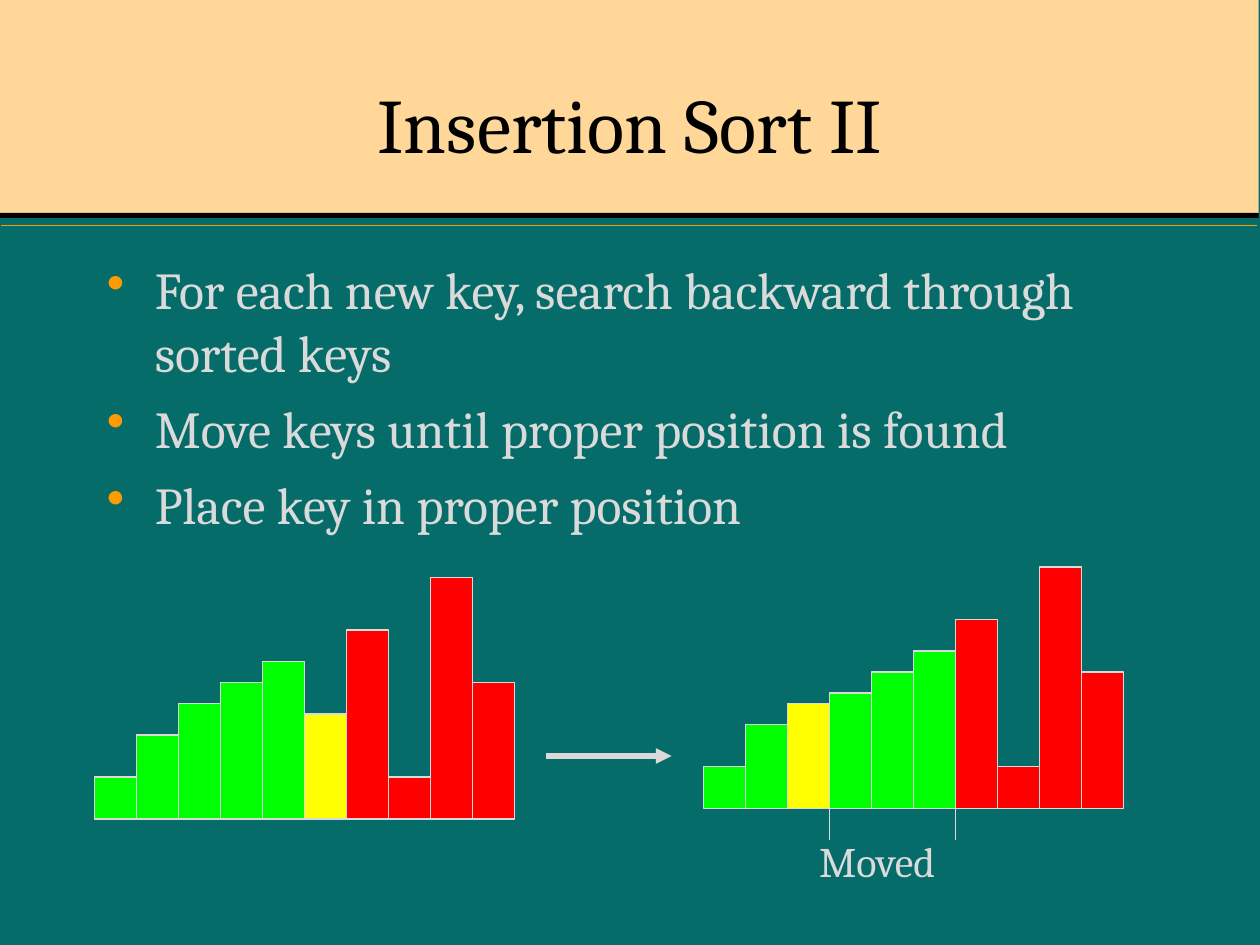
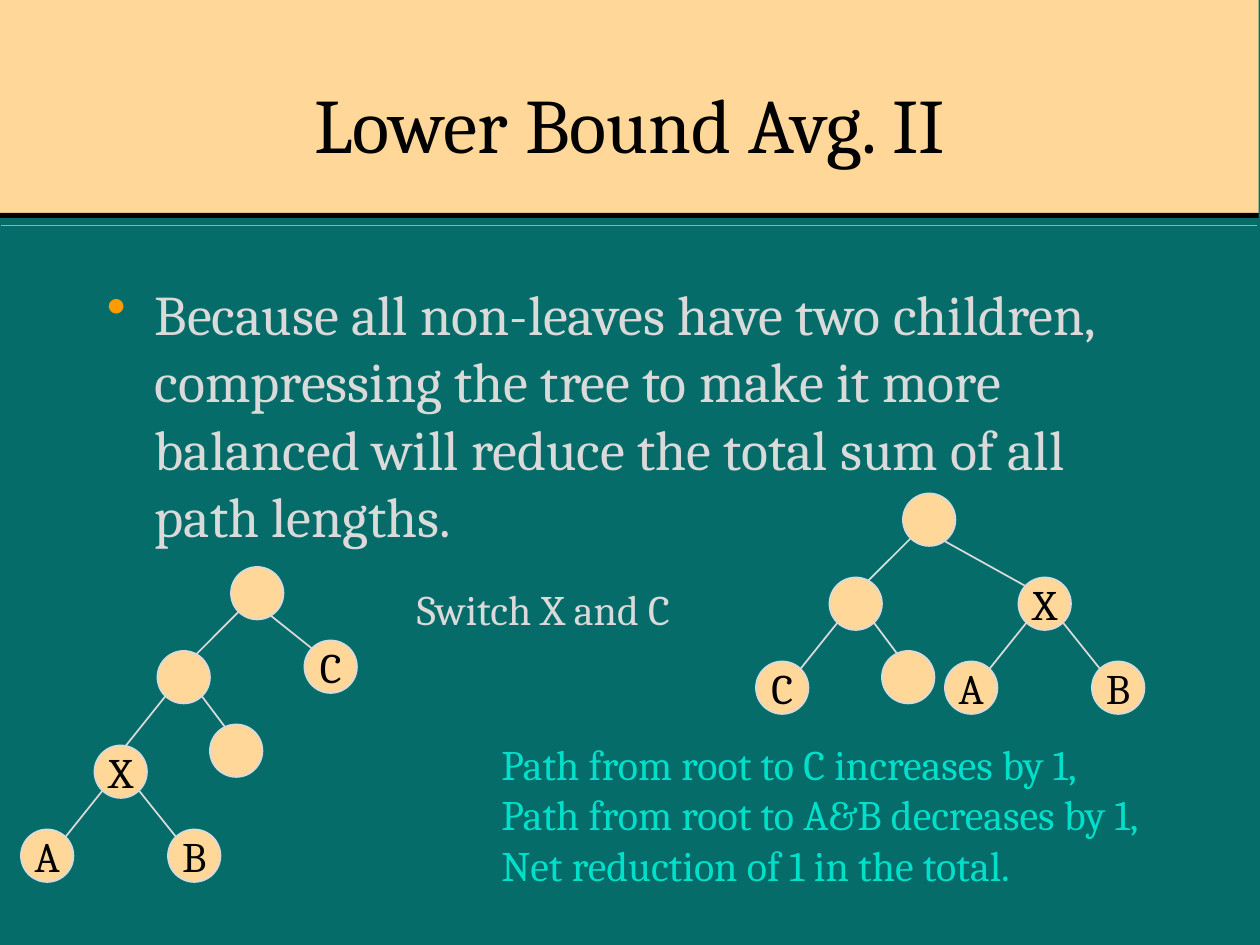
from dataclasses import dataclass

from lxml import etree
from pptx import Presentation
from pptx.dml.color import RGBColor
from pptx.enum import shapes, text
from pptx.oxml import ns
from pptx.util import Inches, Pt


@dataclass(frozen=True)
class Theme:
    """Colours, type sizes and the drawing grid shared by the slides."""
    board: str = "056C69"
    sand: str = "FFD798"
    ink: str = "000000"
    accent: str = "FE9B03"
    chalk: str = "DADADA"
    remark: str = "00DFCA"
    sorted_key: str = "00FF00"
    current_key: str = "FFFF00"
    unsorted_key: str = "FF0000"
    font: str = "Cambria"
    title_size: float = 44
    body_size: float = 32
    label_size: float = 24
    cell: float = 1 / 12


THEME = Theme()
BAR_WIDTH = 4
NODE_SIZE = 5


def rgb(colour):
    """Turn a hex string into a colour."""
    return RGBColor.from_string(colour)


def grid(*cells):
    """Turn grid cells into inches."""
    return [cell * THEME.cell for cell in cells]


def add_bullet(paragraph, indent=0.38):
    """Give a paragraph a hanging accent-coloured bullet."""
    properties = paragraph._p.get_or_add_pPr()
    properties.set("marL", str(Inches(indent)))
    properties.set("indent", str(-Inches(indent)))
    colour = etree.SubElement(properties, ns.qn("a:buClr"))
    etree.SubElement(colour, ns.qn("a:srgbClr"), val=THEME.accent)
    etree.SubElement(properties, ns.qn("a:buChar"), char="•")


def write(frame, lines, *, size=THEME.label_size, colour=THEME.chalk,
          align=text.PP_ALIGN.LEFT, anchor=text.MSO_ANCHOR.TOP,
          bullets=False, gap=0, wrap=True):
    """Write one paragraph per line into a text frame."""
    frame.word_wrap = wrap
    frame.vertical_anchor = anchor
    for index, line in enumerate(lines):
        paragraph = frame.add_paragraph() if index else frame.paragraphs[0]
        if bullets:
            add_bullet(paragraph)
        paragraph.alignment = align
        if index:
            paragraph.space_before = Pt(gap)
        run = paragraph.add_run()
        run.text = line
        run.font.name = THEME.font
        run.font.size = Pt(size)
        run.font.color.rgb = rgb(colour)


def add_words(slide, box, lines, **style):
    """Add a text box with formatted lines."""
    words = slide.shapes.add_textbox(*map(Inches, box))
    write(words.text_frame, lines, **style)


def add_block(slide, kind, box, fill, outline=None):
    """Add a flat filled shape with an optional thin outline."""
    block = slide.shapes.add_shape(kind, *map(Inches, box))
    block.shadow.inherit = False
    block.fill.solid()
    block.fill.fore_color.rgb = rgb(fill)
    if outline:
        block.line.color.rgb = rgb(outline)
        block.line.width = Pt(1)
    else:
        block.line.fill.background()
    return block


def add_line(slide, start, end, colour=THEME.chalk, width=1, arrow=False):
    """Add a straight line, optionally with an arrowhead at its end."""
    line = slide.shapes.add_connector(
        shapes.MSO_CONNECTOR.STRAIGHT, *map(Inches, (*start, *end)))
    line.line.color.rgb = rgb(colour)
    line.line.width = Pt(width)
    if arrow:
        etree.SubElement(line.line._get_or_add_ln(), ns.qn("a:tailEnd"), type="triangle")
    etree.SubElement(line._element.spPr, ns.qn("a:effectLst"))


def add_titled_slide(deck, title):
    """Add a slide with the shared background, title band and rules."""
    slide = deck.slides.add_slide(deck.slide_layouts[6])
    slide.background.fill.solid()
    slide.background.fill.fore_color.rgb = rgb(THEME.board)
    for top, height, fill in ((0, 1.69, THEME.sand), (1.69, 0.04, THEME.ink)):
        add_block(slide, shapes.MSO_SHAPE.RECTANGLE, (0, top, 9.99, height), fill)
    add_line(slide, (0.01, 1.79), (9.98, 1.79), THEME.accent)
    add_words(slide, (0.75, 0.37, 8.5, 1.21), [title], size=THEME.title_size,
              colour=THEME.ink, align=text.PP_ALIGN.CENTER,
              anchor=text.MSO_ANCHOR.MIDDLE)
    return slide


def add_keys(slide, left, baseline, heights, current, sorted_count):
    """Draw keys as touching bars standing on a baseline, in grid cells."""
    for index, height in enumerate(heights):
        if index == current:
            fill = THEME.current_key
        else:
            fill = THEME.sorted_key if index < sorted_count else THEME.unsorted_key
        box = grid(left + index * BAR_WIDTH, baseline - height, BAR_WIDTH, height)
        add_block(slide, shapes.MSO_SHAPE.RECTANGLE, box, fill, THEME.chalk)


def add_moved_range(slide, left, top, count):
    """Mark the moved keys with two ticks and a label, in grid cells."""
    for x in (left, left + count * BAR_WIDTH):
        add_line(slide, grid(x, top), grid(x, top + 3))
    x, y = grid(left, top + 2)
    add_words(slide, (x - 0.18, y, 1.28, 0.5), ["Moved"])


def add_tree(slide, left, top, nodes, edges):
    """Draw a binary tree from node corners and edge ends, in grid cells."""
    for x1, y1, x2, y2 in edges:
        add_line(slide, grid(left + x1, top + y1), grid(left + x2, top + y2))
    for x, y, name in nodes:
        box = grid(left + x, top + y, NODE_SIZE, NODE_SIZE)
        node = add_block(slide, shapes.MSO_SHAPE.OVAL, box, THEME.sand, THEME.chalk)
        if name:
            write(node.text_frame, [name], colour=THEME.ink, wrap=False,
                  align=text.PP_ALIGN.CENTER, anchor=text.MSO_ANCHOR.MIDDLE)


def insertion_sort_slide(deck):
    """Show how one key is moved into the sorted part."""
    slide = add_titled_slide(deck, "Insertion Sort II")
    add_words(slide, (0.75, 2, 8.75, 2.58), [
        "For each new key, search backward through sorted keys",
        "Move keys until proper position is found",
        "Place key in proper position",
    ], size=29.6, bullets=True, gap=8)
    before = [4, 8, 11, 13, 15, 10, 18, 4, 23, 13]
    count, place = 6, 2
    after = sorted(before[:count]) + before[count:]
    left, baseline = 67, 77
    add_keys(slide, 9, 78, before, count - 1, count)
    add_keys(slide, left, baseline, after, place, count)
    add_line(slide, (4.33, 6), (5.33, 6), width=3, arrow=True)
    add_moved_range(slide, left + (place + 1) * BAR_WIDTH, baseline, count - place - 1)


def lower_bound_slide(deck):
    """Compare a tree before and after it is balanced."""
    slide = add_titled_slide(deck, "Lower Bound Avg. II")
    add_words(slide, (0.75, 2.17, 8.5, 2.33), [
        "Because all non-leaves have two children, compressing the tree to make "
        "it more balanced will reduce the total sum of all path lengths.",
    ], size=THEME.body_size, bullets=True)
    add_tree(slide, 2, 54,
             nodes=[(20, 0, ""), (27, 7, "C"), (13, 8, ""), (7, 17, "X"),
                    (0, 25, "A"), (14, 25, "B"), (18, 15, "")],
             edges=[(21, 4, 16, 9), (23, 4, 28, 8), (14, 12, 10, 17),
                    (17, 12, 20, 16), (8, 21, 4, 26), (11, 21, 15, 26)])
    add_words(slide, (3.21, 4.58, 2.56, 0.5), ["Switch X and C"])
    add_tree(slide, 72, 47,
             nodes=[(14, 0, ""), (0, 16, "C"), (7, 8, ""), (25, 8, "X"),
                    (18, 16, "A"), (32, 16, "B"), (12, 15, "")],
             edges=[(15, 4, 10, 9), (17, 4, 26, 9), (8, 12, 4, 17),
                    (11, 12, 14, 16), (26, 12, 22, 17), (29, 12, 33, 17)])
    add_words(slide, (3.88, 5.81, 6.19, 1.3), [
        "Path from root to C increases by 1,",
        "Path from root to A&B decreases by 1,",
        "Net reduction of 1 in the total.",
    ], colour=THEME.remark)


def main():
    """Build and save the slides."""
    deck = Presentation()
    deck.slide_width, deck.slide_height = Inches(10), Inches(7.5)
    insertion_sort_slide(deck)
    lower_bound_slide(deck)
    deck.save("out.pptx")


if __name__ == "__main__":
    main()
